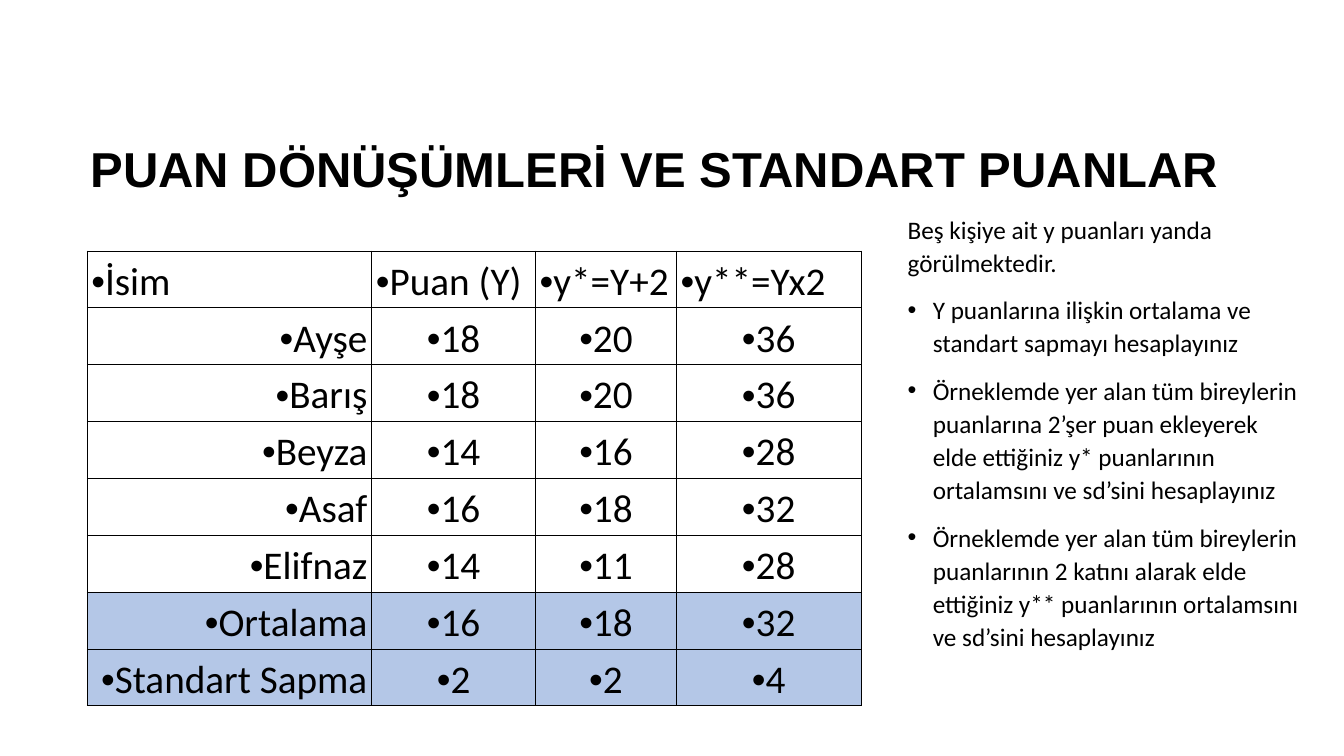
from lxml.etree import SubElement
from pptx import Presentation
from pptx.dml.color import RGBColor
from pptx.enum.text import MSO_ANCHOR as Anchor, MSO_AUTO_SIZE as Fit, PP_ALIGN as Align
from pptx.oxml import parse_xml
from pptx.oxml.ns import nsdecls, qn
from pptx.util import Pt

BLACK = RGBColor(0x00, 0x00, 0x00)
BLUE = RGBColor(0xB4, 0xC7, 0xE7)

TITLE = "PUAN DÖNÜŞÜMLERİ VE STANDART PUANLAR"
HEAD = ["İsim", "Puan (Y)", "y*=Y+2", "y**=Yx2"]
SCORES = [
    ("Ayşe", 18, 20, 36),
    ("Barış", 18, 20, 36),
    ("Beyza", 14, 16, 28),
    ("Asaf", 16, 18, 32),
    ("Elifnaz", 14, 11, 28),
]
STATS = [("Ortalama", 16, 18, 32), ("Standart Sapma", 2, 2, 4)]
INTRO = "Beş kişiye ait y puanları yanda görülmektedir."
TASKS = [
    "Y puanlarına ilişkin ortalama ve standart sapmayı hesaplayınız",
    "Örneklemde yer alan tüm bireylerin puanlarına 2’şer puan ekleyerek elde "
    "ettiğiniz y* puanlarının ortalamsını ve sd’sini hesaplayınız",
    "Örneklemde yer alan tüm bireylerin puanlarının 2 katını alarak elde "
    "ettiğiniz y** puanlarının ortalamsını ve sd’sini hesaplayınız",
]


class Deck:
    """Holds the text style and the current slide."""

    def __init__(self, slide, font, color):
        self.slide, self.font, self.color = slide, font, color

    def add_text(self, par, text, size, font=None, bold=False):
        run = par.add_run()
        run.text = str(text)
        run.font.name = font or self.font
        run.font.size = Pt(size)
        run.font.bold = bold
        run.font.color.rgb = self.color

    def bullet(self, par, indent):
        props = par._p.get_or_add_pPr()
        props.set("marL", str(Pt(indent)))
        props.set("indent", str(Pt(-indent)))
        SubElement(props, qn("a:buFont")).set("typeface", "Arial")
        SubElement(props, qn("a:buChar")).set("char", "•")

    def frame(self, shape, wrap, anchor):
        frame = shape.text_frame
        frame.margin_left = frame.margin_right = Pt(7.2)
        frame.margin_top = frame.margin_bottom = Pt(7.2)
        frame.word_wrap = wrap
        frame.auto_size = Fit.NONE
        frame.vertical_anchor = anchor
        return frame

    def title(self, text, left, top, width, height):
        shape = self.slide.shapes.title
        shape.left, shape.top = Pt(left), Pt(top)
        shape.width, shape.height = Pt(width), Pt(height)
        par = self.frame(shape, False, Anchor.MIDDLE).paragraphs[0]
        par.alignment = Align.LEFT
        par.line_spacing = 0.9
        self.add_text(par, text, 70, "Arial", True)

    def tasks(self, intro, tasks, left, top, width, height):
        box = self.slide.shapes.add_textbox(Pt(left), Pt(top), Pt(width), Pt(height))
        frame = self.frame(box, True, Anchor.TOP)
        for i, text in enumerate([intro, *tasks]):
            par = frame.add_paragraph() if i else frame.paragraphs[0]
            par.line_spacing = 1.1
            par.space_before = Pt(20)
            if i:
                self.bullet(par, 36)
            self.add_text(par, text, 36)

    def border(self, cell):
        props = cell._tc.get_or_add_tcPr()
        for i, side in enumerate("LRTB"):
            props.insert(i, parse_xml(
                f'<a:ln{side} {nsdecls("a")} w="{Pt(1)}"><a:solidFill>'
                f'<a:srgbClr val="{self.color}"/></a:solidFill></a:ln{side}>'))

    def cell(self, cell, text, align, fill):
        cell.margin_left = cell.margin_right = Pt(6)
        cell.margin_top = cell.margin_bottom = Pt(3)
        if fill is None:
            cell.fill.background()
        else:
            cell.fill.solid()
            cell.fill.fore_color.rgb = fill
        self.border(cell)
        par = cell.text_frame.paragraphs[0]
        par.alignment = align
        par.line_spacing = 1.1
        self.bullet(par, 0)
        self.add_text(par, text, 56)

    def table(self, head, body, stats, left, top, cols, height):
        rows = [head, *body, *stats]
        table = self.slide.shapes.add_table(
            len(rows), len(cols), Pt(left), Pt(top),
            Pt(sum(cols)), Pt(height * len(rows))).table
        table.first_row = table.horz_banding = False
        for col, width in zip(table.columns, cols):
            col.width = Pt(width)
        for r, row in enumerate(rows):
            table.rows[r].height = Pt(height)
            fill = BLUE if r > len(body) else None
            for c, text in enumerate(row):
                align = Align.RIGHT if c == 0 else Align.CENTER
                self.cell(table.cell(r, c), text, align if r else Align.LEFT, fill)


def main():
    show = Presentation()
    show.slide_width, show.slide_height = Pt(1920), Pt(1080)
    deck = Deck(show.slides.add_slide(show.slide_layouts[5]), "Calibri", BLACK)

    # Heading
    deck.title(TITLE, 122, 199.5, 1648, 91)
    # Scores with mean and deviation
    deck.table(HEAD, SCORES, STATS, 124.5, 358.5, [406.5, 234, 201.5, 263.5], 81.2)
    # Tasks on the right
    deck.tasks(INTRO, TASKS, 1289.5, 294, 575.5, 671)

    show.save("out.pptx")


if __name__ == "__main__":
    main()
